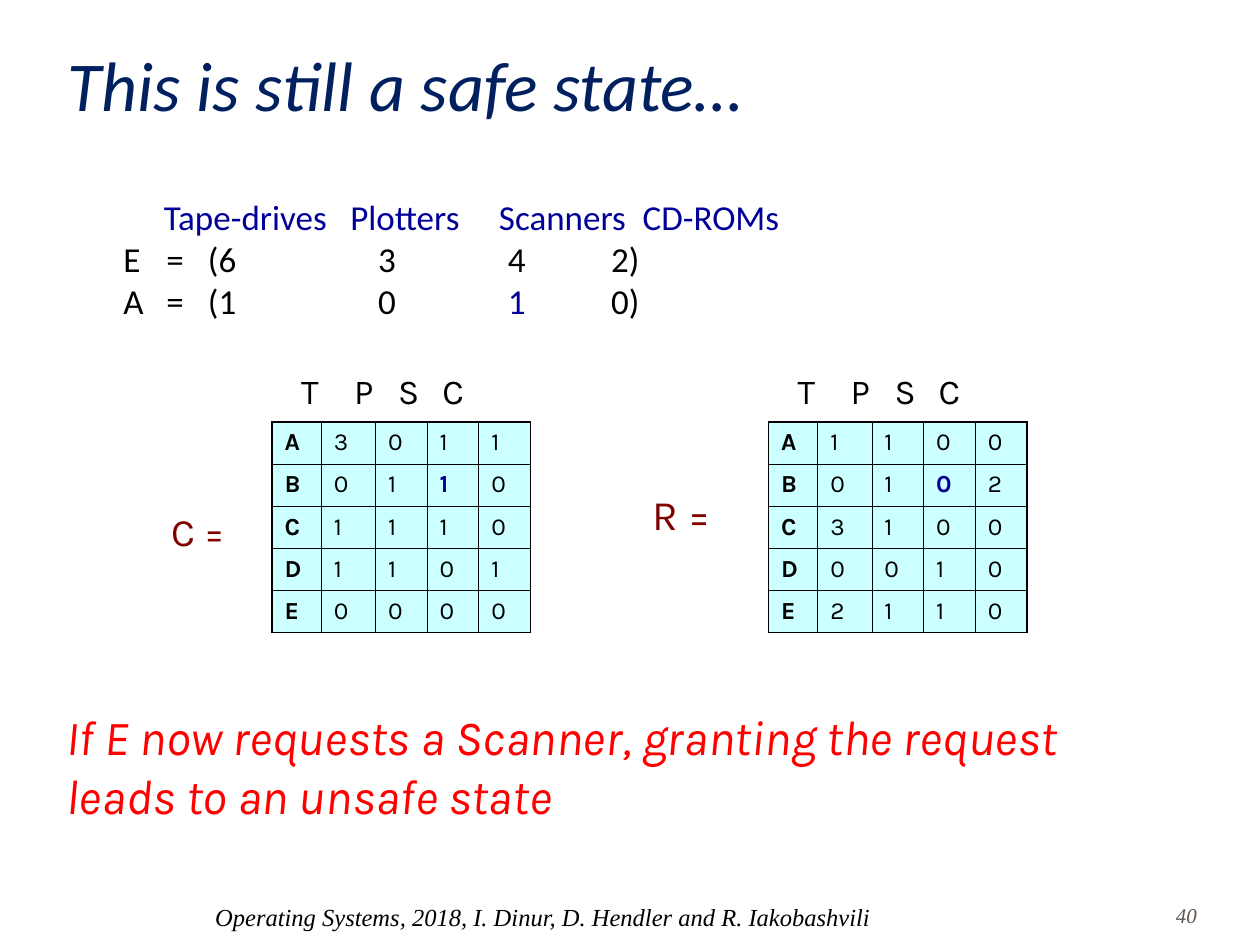
from lxml.etree import SubElement
from pptx import Presentation
from pptx.dml.color import RGBColor
from pptx.enum.text import MSO_ANCHOR, PP_ALIGN
from pptx.oxml.ns import qn
from pptx.util import Inches, Pt

BLACK, NAVY, MAROON = "000000", "000099", "800000"


def color(value):
    return RGBColor.from_string(value)


class SlideBuilder:
    cell_fill = "CCFFFF"
    col_widths = (0.39, 0.43, 0.41, 0.41, 0.41)
    table_height = 1.67
    inner_line, outer_line = 0.45, 1.08

    def __init__(self, slide):
        self.s = slide

    def run(self, p, text, font="Karla", size=20, fill=BLACK, **style):
        r = p.add_run()
        r.text = text
        values = {"name": font, "size": Pt(size), **style}
        for name, value in values.items():
            setattr(r.font, name, value)
        r.font.color.rgb = color(fill)

    def tabs(self, p, stops):
        tab_list = SubElement(p._p.get_or_add_pPr(), qn("a:tabLst"))
        for stop in stops:
            SubElement(tab_list, qn("a:tab"), pos=str(Inches(stop)), algn="l")

    def frame(self, box, **frame_format):
        tf = self.s.shapes.add_textbox(*map(Inches, box)).text_frame
        for name, value in {"word_wrap": True, **frame_format}.items():
            setattr(tf, name, value)
        return tf

    def text(self, box, text, anchor=MSO_ANCHOR.TOP, align=PP_ALIGN.LEFT, **style):
        p = self.frame(box, vertical_anchor=anchor).paragraphs[0]
        p.alignment = align
        self.run(p, text, **style)

    def columns(self, box, left, lines, **style):
        tf = self.frame(box, margin_left=Inches(left))
        for i, (stops, runs) in enumerate(lines):
            p = tf.add_paragraph() if i else tf.paragraphs[0]
            self.tabs(p, stops)
            for text, fill in runs:
                self.run(p, text, fill=fill, **style)

    def border(self, cell, side, width):
        tc_pr = cell._tc.get_or_add_tcPr()
        ln = SubElement(tc_pr, qn(f"a:ln{side}"), w=str(Pt(width)))
        SubElement(SubElement(ln, qn("a:solidFill")), qn("a:srgbClr"), val=BLACK)

    def matrix(self, left, top, rows, marked):
        n_rows, n_cols = len(rows), len(self.col_widths)
        table = self.s.shapes.add_table(
            n_rows, n_cols, Inches(left), Inches(top),
            Inches(sum(self.col_widths)), Inches(self.table_height)).table
        table.first_row = table.horz_banding = False
        for col, width in zip(table.columns, self.col_widths):
            col.width = Inches(width)
        for i, row in enumerate(rows):
            table.rows[i].height = Inches(self.table_height / n_rows)
            for j, value in enumerate(row):
                cell = table.cell(i, j)
                edges = {"L": j == 0, "R": j == n_cols - 1,
                         "T": i == 0, "B": i == n_rows - 1}
                for side, outer in edges.items():
                    self.border(cell, side, self.outer_line if outer else self.inner_line)
                cell.fill.solid()
                cell.fill.fore_color.rgb = color(self.cell_fill)
                is_marked = (i, j) == marked
                self.run(cell.text_frame.paragraphs[0], value, size=14,
                         fill=NAVY if is_marked else BLACK,
                         bold=j == 0 or is_marked)


def main():
    prs = Presentation()
    prs.slide_width, prs.slide_height = Inches(10), Inches(7.5)
    b = SlideBuilder(prs.slides.add_slide(prs.slide_layouts[6]))

    b.text((0.44, 0.25, 8.5, 0.83), "This is still a safe state…",
           anchor=MSO_ANCHOR.MIDDLE, font="Calibri", size=40, fill="002060", italic=True)

    name_stops = (0.32, 1.8, 2.98, 4.12)
    value_stops = (0.34, 0.67, 2.02, 3.05, 3.87)
    b.columns((0.5, 1.5, 8.28, 3.67), 0.48, [
        (name_stops, [("\tTape-drives\tPlotters\tScanners\tCD-ROMs", NAVY)]),
        (value_stops, [("E\t=\t(6\t3\t4\t2)", BLACK)]),
        (value_stops, [("A\t=\t(1\t0\t", BLACK), ("1", NAVY), ("\t0)", BLACK)]),
    ], font="Calibri")

    b.text((1.26, 3.98, 2.99, 0.47), "C =", size=22.2, fill=MAROON)
    b.text((5.08, 3.83, 0.94, 0.63), "R =", size=24, fill=MAROON)

    allocated = ("A3011", "B0110", "C1110", "D1101", "E0000")
    requested = ("A1100", "B0102", "C3100", "D0010", "E2110")
    for left, rows in ((2.16, allocated), (6.1, requested)):
        b.matrix(left, 3.35, rows, marked=(1, 3))
        b.columns((left - 0.07, 2.88, 2.68, 0.44), 0.3,
                  [((0.42, 0.77, 1.12), [("T\tP\tS\tC", BLACK)])])

    b.text((0.43, 5.56, 8.66, 1.04),
           "If E now requests a Scanner, granting the request leads to an unsafe state",
           size=28, fill="FF0000", italic=True)
    footer = {"font": "Times New Roman", "italic": True}
    b.text((1.61, 7.11, 6.53, 0.39),
           "Operating Systems, 2018, I. Dinur, D. Hendler and R. Iakobashvili",
           size=14, **footer)
    b.text((9.17, 7.11, 0.49, 0.32), "40", align=PP_ALIGN.CENTER,
           size=12, fill="5E574E", **footer)
    prs.save("out.pptx")


if __name__ == "__main__":
    main()
